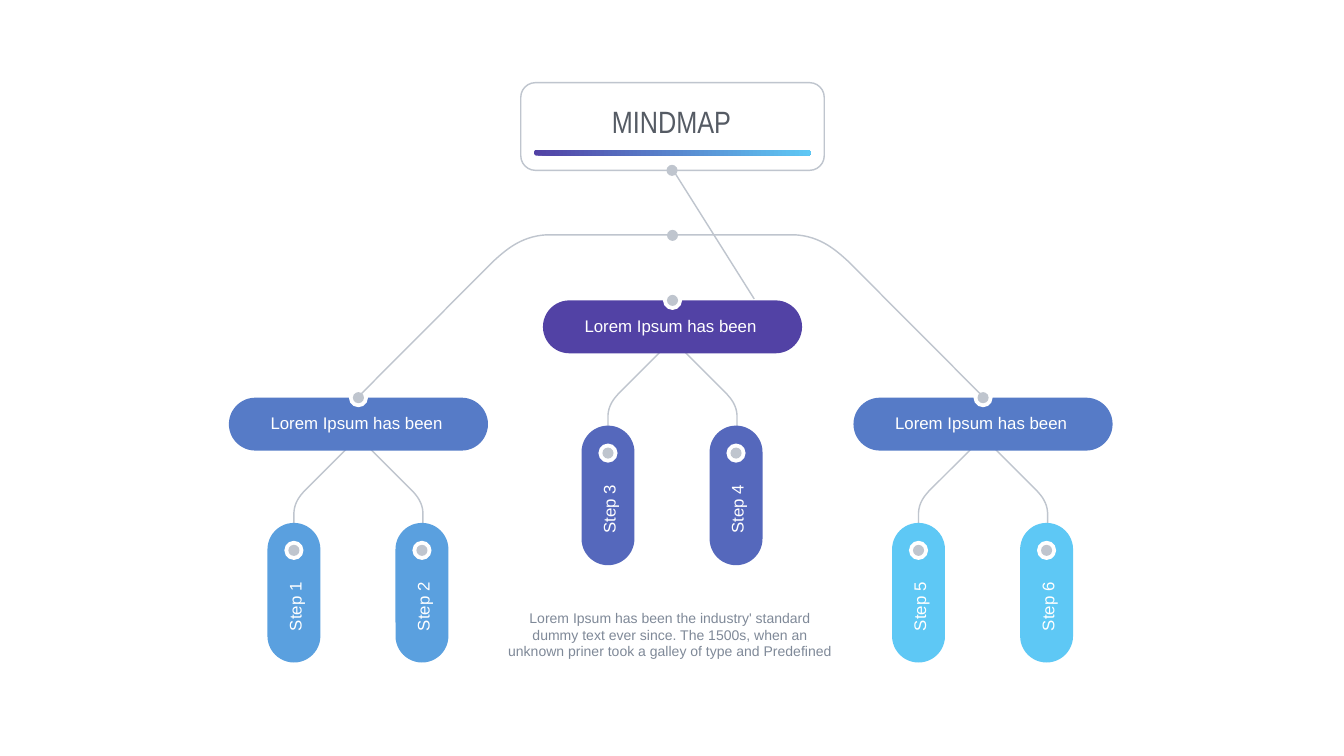
from lxml import etree
from pptx import Presentation
from pptx.dml.color import RGBColor
from pptx.enum.shapes import MSO_CONNECTOR, MSO_SHAPE
from pptx.enum.text import MSO_ANCHOR, MSO_AUTO_SIZE, PP_ALIGN
from pptx.oxml.ns import qn
from pptx.util import Inches, Pt

ROUND, OVAL = MSO_SHAPE.ROUNDED_RECTANGLE, MSO_SHAPE.OVAL
STRAIGHT = MSO_CONNECTOR.STRAIGHT
CENTER, LEFT = PP_ALIGN.CENTER, PP_ALIGN.LEFT
TOP, MIDDLE = MSO_ANCHOR.TOP, MSO_ANCHOR.MIDDLE
GROW = MSO_AUTO_SIZE.SHAPE_TO_FIT_TEXT

WIDTH, HEIGHT = 26.66, 15
AXIS = WIDTH / 2
GREY, WHITE = "BFC5CE", "FFFFFF"
TITLE = "MINDMAP"
NOTE = ("Lorem Ipsum has been the industry' standard dummy text ever since. "
        "The 1500s, when an unknown priner took a galley of type and Predefined")
LABEL = "Lorem Ipsum has been"
BRANCHES = [
    {"x": 7.11, "top": 7.89, "fill": "567BC7", "step_fill": "5AA0DF", "steps": ("Step 1", "Step 2")},
    {"x": 13.34, "top": 5.96, "fill": "5242A5", "step_fill": "5568BC", "steps": ("Step 3", "Step 4")},
    {"x": 19.5, "top": 7.89, "fill": "567BC7", "step_fill": "5EC8F5", "steps": ("Step 5", "Step 6")},
]
PILL = (5.14, 1.05)
STEP = (2.77, 1.05)
STEP_OFFSET = 1.27
LEG = [(0, 0.78), (1.08, 1.86), (1.16, 1.95), (1.27, 2.08), (1.28, 2.28), (1.28, 3.09)]
ARC = [(0, 7.87), (2.67, 5.19), (2.91, 4.97), (3.22, 4.69), (3.72, 4.66)]
ARC_TOP = 4.66


def rgb(color):
    """Turn a hex string into a colour."""
    return RGBColor.from_string(color)


def draw_line(line, color=GREY):
    """Give an outline its colour and weight."""
    line.color.rgb = rgb(color)
    line.width = Pt(2)


def add_block(slide, kind, x, y, size, fill=None, adjust=0.5, rotation=0):
    """Add a preset shape centred on a point, filled or only outlined."""
    width, height = size
    block = slide.shapes.add_shape(kind, Inches(x - width / 2), Inches(y - height / 2),
                                   Inches(width), Inches(height))
    block.shadow.inherit = False
    block.rotation = rotation
    if kind == ROUND:
        block.adjustments[0] = adjust
    if fill:
        block.fill.solid()
        block.fill.fore_color.rgb = rgb(fill)
        block.line.fill.background()
    else:
        block.fill.background()
        draw_line(block.line)
    return block


def add_dot(slide, x, y, ringed=True):
    """Add a grey joint, with a white ring if asked."""
    if ringed:
        add_block(slide, OVAL, x, y, (0.38, 0.38), WHITE)
    add_block(slide, OVAL, x, y, (0.22, 0.22), GREY)


def add_text(slide, words, x, y, size, points=24, color=WHITE, face="Arial",
             align=CENTER, anchor=TOP, wrap=True, rotation=0):
    """Add a text box centred on a point."""
    width, height = size
    box = slide.shapes.add_textbox(Inches(x - width / 2), Inches(y - height / 2),
                                   Inches(width), Inches(height))
    box.rotation = rotation
    frame = box.text_frame
    for name, value in {"word_wrap": wrap, "auto_size": GROW, "vertical_anchor": anchor}.items():
        setattr(frame, name, value)
    paragraph = frame.paragraphs[0]
    paragraph.alignment = align
    run = paragraph.add_run()
    run.text = words
    for name, value in {"size": Pt(points), "name": face}.items():
        setattr(run.font, name, value)
    run.font.color.rgb = rgb(color)


def add_path(slide, points):
    """Draw a straight run, a cubic bend and a last straight run."""
    points = [(Inches(x), Inches(y)) for x, y in points]
    builder = slide.shapes.build_freeform(*points[0], scale=1.0)
    builder.add_line_segments(points[1:], close=False)
    path = builder.convert_to_shape()
    path.shadow.inherit = False
    path.fill.background()
    draw_line(path.line)
    corners = list(path._element.iter(qn("a:lnTo")))[1:4]
    curve = etree.Element(qn("a:cubicBezTo"))
    corners[0].addprevious(curve)
    for corner in corners:
        curve.append(corner[0])
        corner.getparent().remove(corner)


def add_branch(slide, branch):
    """Draw one pill with its two steps."""
    x, top = branch["x"], branch["top"]
    for side, words in zip((-1, 1), branch["steps"]):
        add_path(slide, [(x + side * dx, top + dy) for dx, dy in LEG])
        step_x = x + side * STEP_OFFSET - 0.01
        add_block(slide, ROUND, step_x, top + 3.87, STEP, branch["step_fill"], rotation=90)
        add_dot(slide, step_x, top + 3.03)
        add_text(slide, words, step_x + 0.02, top + 4.14, (1.18, 0.5),
                 align=LEFT, wrap=False, rotation=270)
    middle = top + PILL[1] / 2
    add_block(slide, ROUND, x, middle, PILL, branch["fill"])
    add_dot(slide, x, top)
    add_text(slide, LABEL, x - 0.04, middle - 0.02, (4.49, 0.5))


def add_root(slide):
    """Draw the title box with its gradient bar and its link down."""
    add_dot(slide, AXIS, 3.38, ringed=False)
    add_block(slide, ROUND, AXIS + 0.01, 2.51, (6.02, 1.74), adjust=0.167)
    bar = add_block(slide, ROUND, AXIS + 0.01, 3.03, (5.5, 0.12), GREY)
    bar.fill.gradient()
    bar.fill.gradient_angle = 0
    for stop, color in zip(bar.fill.gradient_stops, ("5242A5", "5EC8F5")):
        stop.color.rgb = rgb(color)
    add_text(slide, TITLE, AXIS - 0.01, 2.41, (4.43, 0.84), 44, "555B64", "Arial Narrow",
             anchor=MIDDLE)
    link = slide.shapes.add_connector(STRAIGHT, Inches(AXIS), Inches(3.34), Inches(14.96), Inches(5.93))
    draw_line(link.line)
    etree.SubElement(link._element.spPr, qn("a:effectLst"))


def main():
    """Build the mind map slide."""
    deck = Presentation()
    deck.slide_width, deck.slide_height = Inches(WIDTH), Inches(HEIGHT)
    slide = deck.slides.add_slide(deck.slide_layouts[6])
    for branch in BRANCHES:
        add_branch(slide, branch)
    add_root(slide)
    for branch, side in ((BRANCHES[0], 1), (BRANCHES[-1], -1)):
        arc = [(branch["x"] + side * dx, y) for dx, y in ARC]
        add_path(slide, arc + [(AXIS, ARC_TOP)])
    add_dot(slide, AXIS + 0.01, ARC_TOP + 0.01, ringed=False)
    add_text(slide, NOTE, AXIS - 0.04, 12.59, (6.68, 1.1), 20, "7F8998")
    deck.save("out.pptx")


if __name__ == "__main__":
    main()
